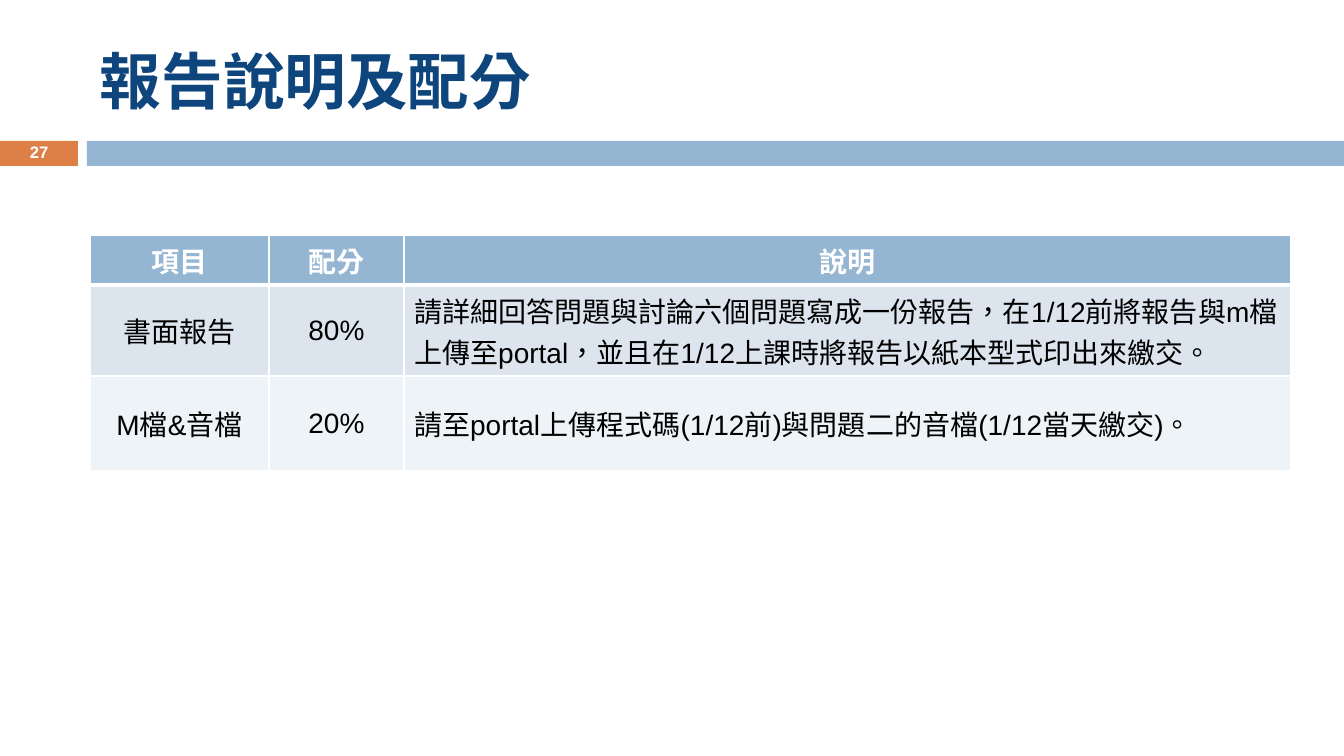
from lxml import etree
from pptx import Presentation
from pptx.dml.color import RGBColor
from pptx.enum.lang import MSO_LANGUAGE_ID
from pptx.enum.shapes import MSO_SHAPE
from pptx.enum.text import MSO_ANCHOR, PP_ALIGN
from pptx.oxml.ns import qn
from pptx.util import Emu, Pt

EMU_PER_PX = 9071.43

WHITE = RGBColor(0xFF, 0xFF, 0xFF)
BLACK = RGBColor(0x00, 0x00, 0x00)
NAVY = RGBColor(0x0E, 0x45, 0x7D)
ORANGE = RGBColor(0xDD, 0x80, 0x47)
BLUE = RGBColor(0x94, 0xB6, 0xD2)
ROW_FILLS = [BLUE, RGBColor(0xDC, 0xE5, 0xEE), RGBColor(0xEE, 0xF3, 0xF7)]

LATIN_FONT = "Arial"
CHINESE_FONT = "Noto Sans CJK SC"

COLUMN_WIDTHS = [179, 135, 887]
ROW_HEIGHTS = [50, 91, 95]
GRADING = [
    ["項目", "配分", "說明"],
    ["書面報告", "80%",
     "請詳細回答問題與討論六個問題寫成一份報告，在1/12前將報告與m檔上傳至portal，"
     "並且在1/12上課時將報告以紙本型式印出來繳交。"],
    ["M檔&音檔", "20%",
     "請至portal上傳程式碼(1/12前)與問題二的音檔(1/12當天繳交)。"],
]


def px(length):
    return Emu(round(length * EMU_PER_PX))


def format_text(frame, size, color, bold=False, align=PP_ALIGN.LEFT):
    para = frame.paragraphs[0]
    para.alignment = align
    for span in para.runs:
        font = span.font
        font.name = LATIN_FONT
        font.size = Pt(size)
        font.bold = bold
        font.color.rgb = color
        font.language_id = MSO_LANGUAGE_ID.TRADITIONAL_CHINESE
        latin = font._element.find(qn("a:latin"))
        chinese = etree.Element(qn("a:ea"), typeface=CHINESE_FONT)
        latin.addnext(chinese)


def add_bar(page, left, top, width, height, color):
    bar = page.shapes.add_shape(
        MSO_SHAPE.RECTANGLE, px(left), px(top), px(width), px(height))
    bar.shadow.inherit = False
    bar.fill.solid()
    bar.fill.fore_color.rgb = color
    bar.line.fill.background()


def add_text(page, left, top, width, height, text, size, color, align):
    box = page.shapes.add_textbox(px(left), px(top), px(width), px(height))
    frame = box.text_frame
    frame.word_wrap = True
    frame.vertical_anchor = MSO_ANCHOR.MIDDLE
    frame.text = text
    format_text(frame, size, color, True, align)
    return frame


def set_borders(cell, bottom_width):
    properties = cell._tc.get_or_add_tcPr()
    widths = {"a:lnL": 1, "a:lnR": 1, "a:lnT": 1, "a:lnB": bottom_width}
    for position, (tag, width) in enumerate(widths.items()):
        line = etree.Element(qn(tag), w=str(Pt(width)))
        fill = etree.SubElement(line, qn("a:solidFill"))
        etree.SubElement(fill, qn("a:srgbClr"), val=str(WHITE))
        properties.insert(position, line)


def add_grading_table(page, left, top):
    frame = page.shapes.add_table(
        len(ROW_HEIGHTS), len(COLUMN_WIDTHS), px(left), px(top),
        px(sum(COLUMN_WIDTHS)), px(sum(ROW_HEIGHTS)))
    table = frame.table
    for column, width in zip(table.columns, COLUMN_WIDTHS):
        column.width = px(width)
    for row, height in zip(table.rows, ROW_HEIGHTS):
        row.height = px(height)

    for row_index, texts in enumerate(GRADING):
        header = row_index == 0
        for column_index, text in enumerate(texts):
            cell = table.cell(row_index, column_index)
            cell.fill.solid()
            cell.fill.fore_color.rgb = ROW_FILLS[row_index]
            cell.vertical_anchor = MSO_ANCHOR.TOP if header else MSO_ANCHOR.MIDDLE
            set_borders(cell, 3 if header else 1)
            cell.text_frame.text = text
            centred = header or column_index < 2
            format_text(cell.text_frame, 20, WHITE if header else BLACK, header,
                        PP_ALIGN.CENTER if centred else PP_ALIGN.LEFT)


def main():
    deck = Presentation()
    deck.slide_width = px(1344)
    deck.slide_height = px(756)
    page = deck.slides.add_slide(deck.slide_layouts[6])

    # Divider bars
    add_bar(page, 0, 141, 78, 25, ORANGE)
    add_bar(page, 87, 141, 1257, 25, BLUE)

    # Title and page number
    add_text(page, 90, 25, 1199, 109, "報告說明及配分", 44, NAVY, PP_ALIGN.LEFT)
    number = add_text(page, 0, 140, 78, 27, "27", 11.9, WHITE, PP_ALIGN.CENTER)
    number.paragraphs[0].line_spacing = 0.8

    # Grading table
    add_grading_table(page, 90, 235)

    deck.save("out.pptx")


if __name__ == "__main__":
    main()
